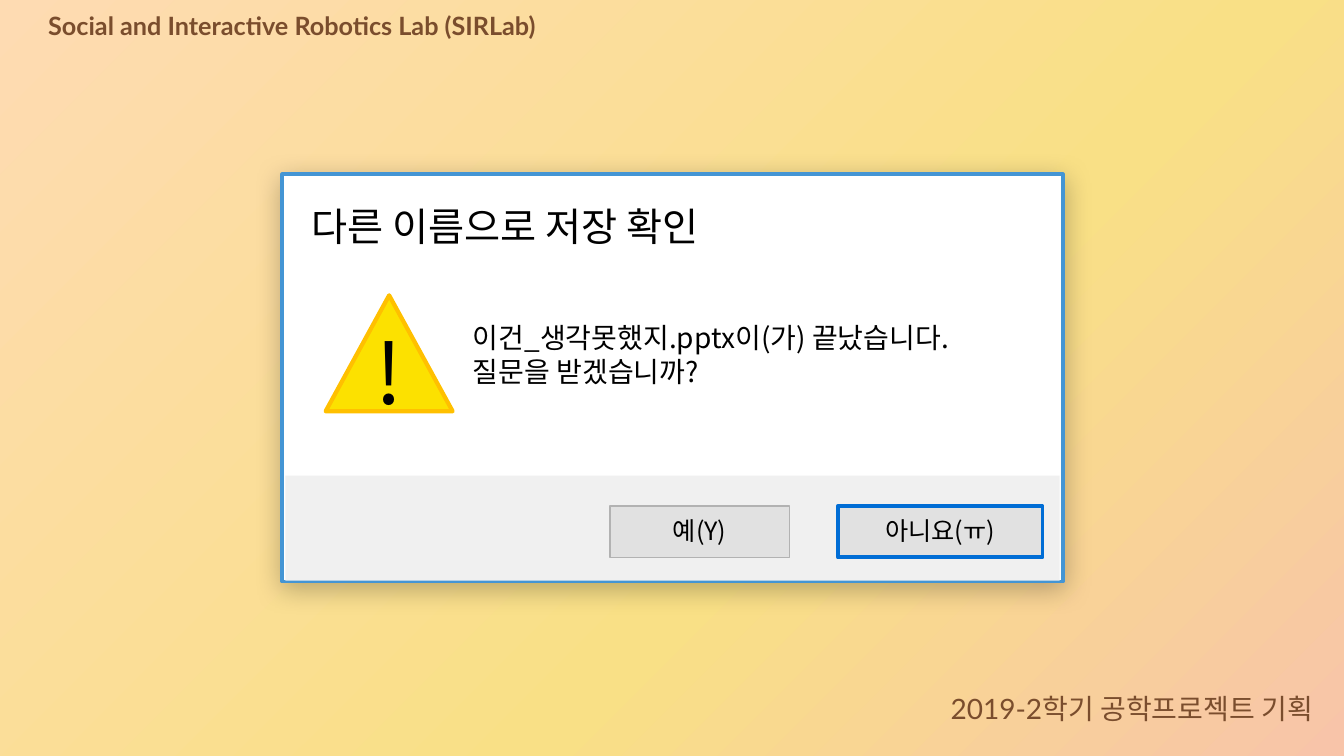
from copy import deepcopy

from lxml.etree import SubElement as Sub
from pptx import Presentation
from pptx.dml.color import RGBColor
from pptx.enum.shapes import MSO_SHAPE as Geo
from pptx.enum.text import MSO_ANCHOR as Anchor, MSO_AUTO_SIZE as Auto, PP_ALIGN as Align
from pptx.oxml.ns import qn
from pptx.util import Inches, Pt

BROWN = RGBColor(0x7A, 0x4D, 0x2D)
BLACK = RGBColor(0, 0, 0)
WHITE = RGBColor(255, 255, 255)
FRAME = RGBColor(0x44, 0x95, 0xD4)
STRIP = RGBColor(0xF0, 0xF0, 0xF0)
KEY = RGBColor(0xE1, 0xE1, 0xE1)
EDGE = RGBColor(0xB2, 0xB2, 0xB2)
FOCUS = RGBColor(0x00, 0x6D, 0xD5)
YELLOW = RGBColor(0xFC, 0xE1, 0x00)
AMBER = RGBColor(0xFF, 0xC0, 0x00)
STOPS = [
    (0, RGBColor(0xFE, 0xDB, 0xB2)),
    (0.61, RGBColor(0xF9, 0xE0, 0x86)),
    (1, RGBColor(0xF8, 0xC4, 0xA9)),
]
LATO, NOTO = "Lato", "Noto Sans CJK KR"


def write(box, lines, size, align=Align.LEFT, wrap=True, name=NOTO, color=BLACK, bold=False):
    """Fill a text box or placeholder with formatted lines."""
    frame = box.text_frame
    form = {"word_wrap": wrap, "auto_size": Auto.SHAPE_TO_FIT_TEXT, "vertical_anchor": Anchor.TOP}
    for key, value in form.items():
        setattr(frame, key, value)
    for i, line in enumerate(lines):
        para = frame.add_paragraph() if i else frame.paragraphs[0]
        para.alignment = align
        run = para.add_run()
        run.text = line
        for key, value in {"size": Pt(size), "name": name, "bold": bold}.items():
            setattr(run.font, key, value)
        run.font.color.rgb = color
        # Korean letters take the East Asian font
        Sub(run.font._element, qn("a:ea"), typeface=NOTO)


def label(slide, x, y, w, h, lines, size, **form):
    box = slide.shapes.add_textbox(*map(Inches, (x, y, w, h)))
    write(box, lines, size, **form)


def block(slide, geo, x, y, w, h, fill, line=None, width=1):
    shape = slide.shapes.add_shape(geo, *map(Inches, (x, y, w, h)))
    shape.shadow.inherit = False
    shape.fill.solid()
    shape.fill.fore_color.rgb = fill
    if line is None:
        shape.line.fill.background()
    else:
        shape.line.color.rgb = line
        shape.line.width = Pt(width)
    return shape


def shade(shape):
    """Give the window a soft shadow below it."""
    effects = shape.element.spPr.find(qn("a:effectLst"))
    outer = Sub(effects, qn("a:outerShdw"), blurRad=str(Pt(19)), dist=str(Pt(4)),
                dir="5400000", algn="t", rotWithShape="0")
    tint = Sub(outer, qn("a:srgbClr"), val=str(BLACK))
    Sub(tint, qn("a:alpha"), val="26000")


def backdrop(slide):
    fill = slide.background.fill
    fill.gradient()
    fill.gradient_angle = 315
    group = slide.element.find(".//" + qn("a:gsLst"))
    group.append(deepcopy(group[0]))
    for stop, (place, color) in zip(fill.gradient_stops, STOPS):
        stop.position = place
        stop.color.rgb = color


def button(slide, x, y, w, text, line, width, inset):
    block(slide, Geo.RECTANGLE, x, y, w, 0.51, KEY, line, width)
    label(slide, x + inset, y + 0.04, w - 2 * inset, 0.4, [text], 18,
          align=Align.CENTER, wrap=False)


def warning(slide, x, y):
    block(slide, Geo.ISOSCELES_TRIANGLE, x, y, 1.26, 1.15, YELLOW, AMBER, 3)
    label(slide, x + 0.4, y + 0.2, 0.47, 1.11, ["!"], 60)


def dialog(slide, x, y, w, h):
    # Window and button strip
    shade(block(slide, Geo.RECTANGLE, x, y, w, h, WHITE, FRAME, 2.75))
    block(slide, Geo.RECTANGLE, x + 0.03, y + 2.99, w - 0.06, 1.04, STRIP)
    # Buttons
    button(slide, x + 3.25, y + 3.29, 1.78, "예(Y)", EDGE, 1, 0.41)
    button(slide, x + 5.51, y + 3.29, 2.03, "아니요(ㅠ)", FOCUS, 2.75, 0.27)
    warning(slide, x + 0.43, y + 1.2)
    # Heading, brought in front of the window
    title = slide.shapes.title
    spot = {"left": x + 0.19, "top": y + 0.23, "width": 4.61, "height": 0.57}
    for key, value in spot.items():
        setattr(title, key, Inches(value))
    write(title, ["다른 이름으로 저장 확인"], 28)
    slide.shapes.element.append(title.element)
    # Message
    label(slide, x + 1.79, y + 1.4, 5.75, 0.77,
          ["이건_생각못했지.pptx이(가) 끝났습니다.", "질문을 받겠습니까?"], 20)


def main():
    deck = Presentation()
    deck.slide_width, deck.slide_height = Inches(13.33), Inches(7.5)
    slide = deck.slides.add_slide(deck.slide_layouts[5])
    backdrop(slide)
    # Lab name and course name
    label(slide, 0.38, 0.05, 6, 0.4, ["Social and Interactive Robotics Lab (SIRLab)"], 18,
          name=LATO, color=BROWN, bold=True)
    label(slide, 9.33, 6.81, 4, 0.44, ["2019-2학기 공학프로젝트 기획"], 20,
          name=LATO, color=BROWN)
    dialog(slide, 2.8, 1.73, 7.74, 4.04)
    deck.save("out.pptx")


if __name__ == "__main__":
    main()
